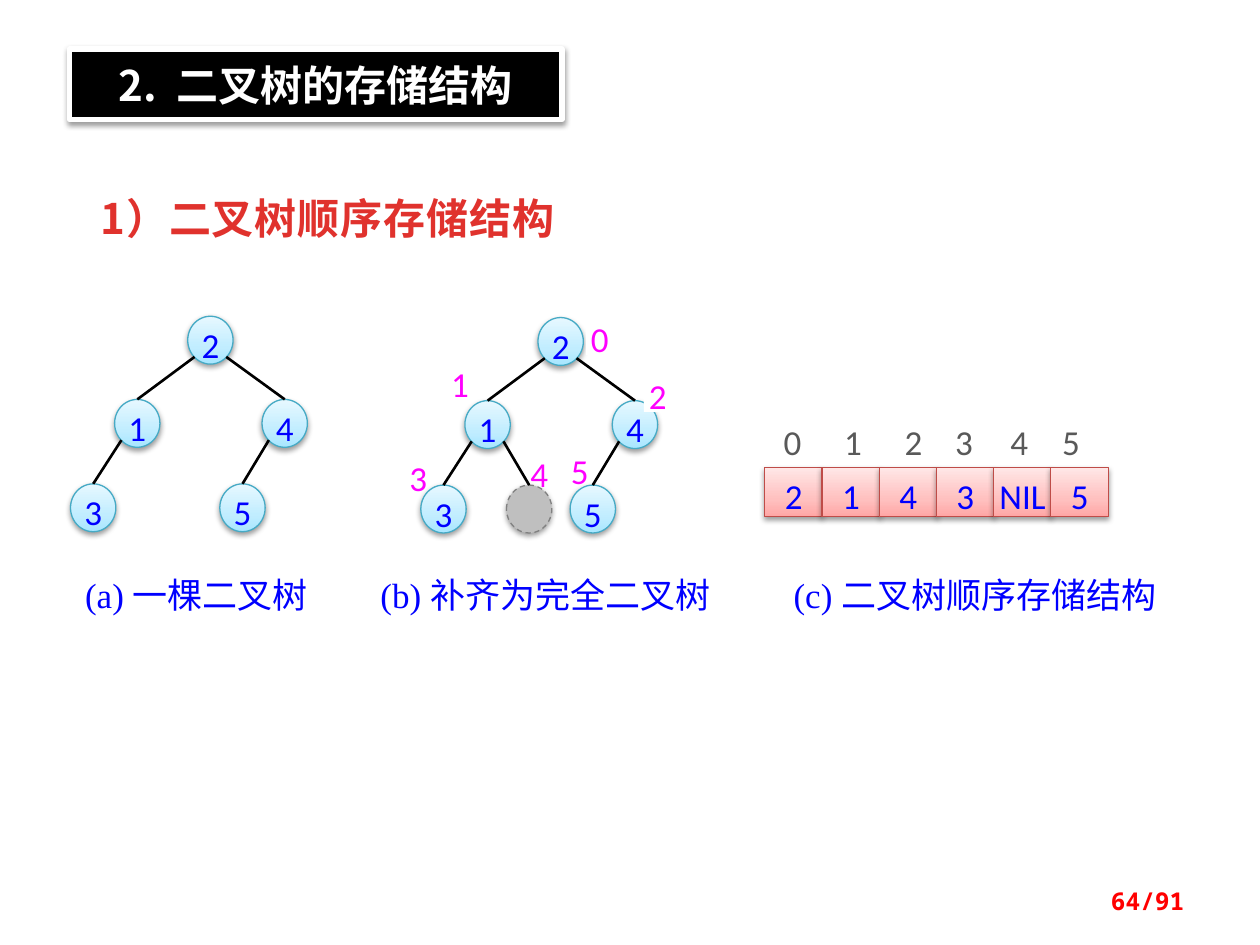
from copy import deepcopy

from lxml.etree import SubElement
from pptx import Presentation
from pptx.dml.color import RGBColor
from pptx.enum.dml import MSO_LINE
from pptx.enum.shapes import MSO_CONNECTOR, MSO_SHAPE
from pptx.enum.text import MSO_ANCHOR, PP_ALIGN
from pptx.oxml.ns import qn
from pptx.util import Inches, Pt

BLACK = RGBColor(0x00, 0x00, 0x00)
WHITE = RGBColor(0xFF, 0xFF, 0xFF)
BLUE = RGBColor(0x00, 0x00, 0xFF)
MAGENTA = RGBColor(0xFF, 0x00, 0xFF)
RED = RGBColor(0xFF, 0x00, 0x00)
HEADING_RED = RGBColor(0xE0, 0x32, 0x2D)
INDEX_GREY = RGBColor(0x59, 0x59, 0x59)
FILLER_GREY = RGBColor(0xBF, 0xBF, 0xBF)
FILLER_EDGE = RGBColor(0x80, 0x80, 0x80)
NODE_EDGE = RGBColor(0x46, 0xAA, 0xC5)
CELL_EDGE = RGBColor(0xBF, 0x4C, 0x48)
NODE_SHADES = [RGBColor(0xA7, 0xE6, 0xFF), RGBColor(0xC1, 0xED, 0xFF), RGBColor(0xE7, 0xF8, 0xFF)]
CELL_SHADES = [RGBColor(0xFF, 0xA6, 0xA5), RGBColor(0xFF, 0xC0, 0xBF), RGBColor(0xFF, 0xE7, 0xE7)]
SHADE_POSITIONS = (0, 0.35, 1)

CJK_FONT = "Noto Sans CJK SC"
COLUMNS, ROWS = 100, 75

# Node places in a complete binary tree, level by level, from the root's corner
TREE_PLACES = [(0, 0), (-5.8, 6.6), (5.9, 6.6), (-9.3, 13.3), (-2.5, 13.3), (2.55, 13.3)]
NODE_WIDTH, NODE_HEIGHT = 3.6, 3.8
DIAGONAL = 0.35  # share of a node's size from its centre to an outgoing edge


class Board:
    """Draws on one slide; all places are columns and rows of a 100 x 75 grid."""

    def __init__(self, presentation):
        self.column = presentation.slide_width // COLUMNS
        self.row = presentation.slide_height // ROWS
        self.slide = presentation.slides.add_slide(presentation.slide_layouts[6])
        self.shapes = self.slide.shapes

    def start_group(self):
        self.shapes = self.slide.shapes.add_group_shape().shapes

    def end_group(self):
        self.shapes = self.slide.shapes

    def spot(self, x, y):
        return round(x * self.column), round(y * self.row)

    def shape(self, x, y, width, height, fill, kind=MSO_SHAPE.RECTANGLE,
              edge=None, edge_width=0.75, shadow=False):
        """Add a shape; a list as fill gives a gradient rising from the bottom."""
        shape = self.shapes.add_shape(kind, *self.spot(x, y), *self.spot(width, height))
        if isinstance(fill, list):
            self.shade(shape, fill)
        else:
            shape.fill.solid()
            shape.fill.fore_color.rgb = fill
        if edge is None:
            shape.line.fill.background()
        else:
            shape.line.color.rgb = edge
            shape.line.width = Pt(edge_width)
        shape.shadow.inherit = False
        if shadow:
            self.drop_shadow(shape)
        return shape

    def shade(self, shape, shades):
        shape.fill.gradient()
        shape.fill.gradient_angle = 90
        stops = shape._element.spPr.find(".//" + qn("a:gsLst"))
        stops.append(deepcopy(stops[-1]))
        for stop, position, color in zip(shape.fill.gradient_stops, SHADE_POSITIONS, shades):
            stop.position = position
            stop.color.rgb = color

    def drop_shadow(self, shape):
        effects = shape._element.spPr.find(qn("a:effectLst"))
        shadow = SubElement(effects, qn("a:outerShdw"), blurRad="40000", dist="20000",
                            dir="5400000", rotWithShape="0")
        color = SubElement(shadow, qn("a:srgbClr"), val="000000")
        SubElement(color, qn("a:alpha"), val="38000")

    def set_text(self, shape, text, color, size=20, font="Calibri", bold=False,
                 align=PP_ALIGN.CENTER, anchor=MSO_ANCHOR.TOP, insets=(0, 0), leading=None):
        frame = shape.text_frame
        frame.word_wrap = True
        frame.vertical_anchor = anchor
        frame.margin_left = frame.margin_right = Inches(insets[0])
        frame.margin_top = frame.margin_bottom = Inches(insets[1])
        paragraph = frame.paragraphs[0]
        paragraph.add_run().text = text
        paragraph.alignment = align
        if leading:
            paragraph.line_spacing = Pt(leading)
        style = paragraph.font
        style.size, style.name, style.bold = Pt(size), font, bold
        style.color.rgb = color
        SubElement(style._element, qn("a:ea"), typeface=CJK_FONT)
        return paragraph

    def label(self, x, y, text, color):
        self.set_text(self.shape(x, y, 2.2, 3, WHITE), text, color)

    def caption(self, x, width, text):
        self.set_text(self.shape(x, 45.5, width, 3.7, WHITE), text, BLUE, font="Times New Roman")

    def text_box(self, x, y, width, height, text, color, **style):
        box = self.shapes.add_textbox(*self.spot(x, y), *self.spot(width, height))
        return self.set_text(box, text, color, insets=(0.1, 0.05), **style)

    def node(self, x, y, text):
        """Add a tree node; without text it is a dashed filler."""
        fill, edge = (NODE_SHADES, NODE_EDGE) if text else (FILLER_GREY, FILLER_EDGE)
        node = self.shape(x, y, NODE_WIDTH, NODE_HEIGHT, fill, MSO_SHAPE.OVAL, edge, shadow=True)
        if text:
            self.set_text(node, text, BLUE)
        else:
            node.line.dash_style = MSO_LINE.DASH
        return node

    def edge(self, parent, child):
        side = 1 if child.left > parent.left else -1
        start_x = parent.left + round(parent.width * (0.5 + side * DIAGONAL))
        start_y = parent.top + round(parent.height * (0.5 + DIAGONAL))
        line = self.shapes.add_connector(MSO_CONNECTOR.STRAIGHT, start_x, start_y,
                                         child.left + child.width // 2, child.top)
        line.end_connect(child, 0)
        line.line.color.rgb = BLACK
        line.line.width = Pt(1.5)
        SubElement(line._element.spPr, qn("a:effectLst"))

    def tree(self, x, y, values):
        """Draw a tree from a map of level-order index to value."""
        nodes = {}
        for index, value in values.items():
            dx, dy = TREE_PLACES[index]
            nodes[index] = self.node(x + dx, y + dy, value)
        for index in list(nodes)[1:]:
            self.edge(nodes[(index - 1) // 2], nodes[index])

    def cell(self, x, text):
        cell = self.shape(x, 37.1, 4.6, 3.9, CELL_SHADES, edge=CELL_EDGE, shadow=True)
        self.set_text(cell, text, BLUE, leading=28)


def draw_binary_tree(board):
    board.start_group()
    board.tree(14.9, 25.1, {0: "2", 1: "1", 2: "4", 3: "3", 5: "5"})
    board.caption(5.5, 20.2, "(a) 一棵二叉树")


def draw_completed_tree(board):
    board.start_group()
    for x, y, index in [(44.9, 35.7, "5"), (32.1, 36.2, "3"), (41.7, 35.9, "4")]:
        board.label(x, y, index, MAGENTA)
    board.tree(42.7, 25.2, {0: "2", 1: "1", 2: "4", 3: "3", 4: "", 5: "5"})
    for x, y, index in [(46.5, 25.2, "0"), (51.1, 29.7, "2"), (35.4, 28.8, "1")]:
        board.label(x, y, index, MAGENTA)
    board.caption(29.6, 27.4, "(b) 补齐为完全二叉树")


def draw_array(board):
    board.start_group()
    index_columns = [61.8, 66.6, 71.4, 75.4, 79.8, 83.9]
    for index, value in enumerate(["2", "1", "4", "3", "NIL", "5"]):
        board.label(index_columns[index], 33.4, str(index), INDEX_GREY)
        board.cell(60.7 + 4.54 * index, value)
    board.caption(61.9, 31, "(c) 二叉树顺序存储结构")


def draw_headings(board):
    board.end_group()
    banner = board.shape(5.5, 3.9, 39.1, 5.6, BLACK, edge=WHITE, edge_width=3, shadow=True)
    title = board.set_text(banner, "2.", WHITE, 24, CJK_FONT, True, insets=(0.1, 0.08))
    gap = title.add_run()
    gap.text = " "
    gap.font._element.set("spc", "540")
    title.add_run().text = "二叉树的存储结构"
    heading = board.text_box(7, 14.8, 40.6, 5, "1）二叉树顺序存储结构", HEADING_RED,
                             size=24, font=CJK_FONT, bold=True, align=PP_ALIGN.LEFT)
    heading.font._element.set("spc", "50")
    board.text_box(71.7, 69.5, 23.3, 4, "64/91", RED, size=14, font="Noto Sans Mono",
                   bold=True, align=PP_ALIGN.RIGHT, anchor=MSO_ANCHOR.MIDDLE)


def main():
    presentation = Presentation()
    presentation.slide_width, presentation.slide_height = Inches(10), Inches(7.5)
    board = Board(presentation)
    draw_binary_tree(board)
    draw_completed_tree(board)
    draw_array(board)
    draw_headings(board)
    presentation.save("out.pptx")


if __name__ == "__main__":
    main()
